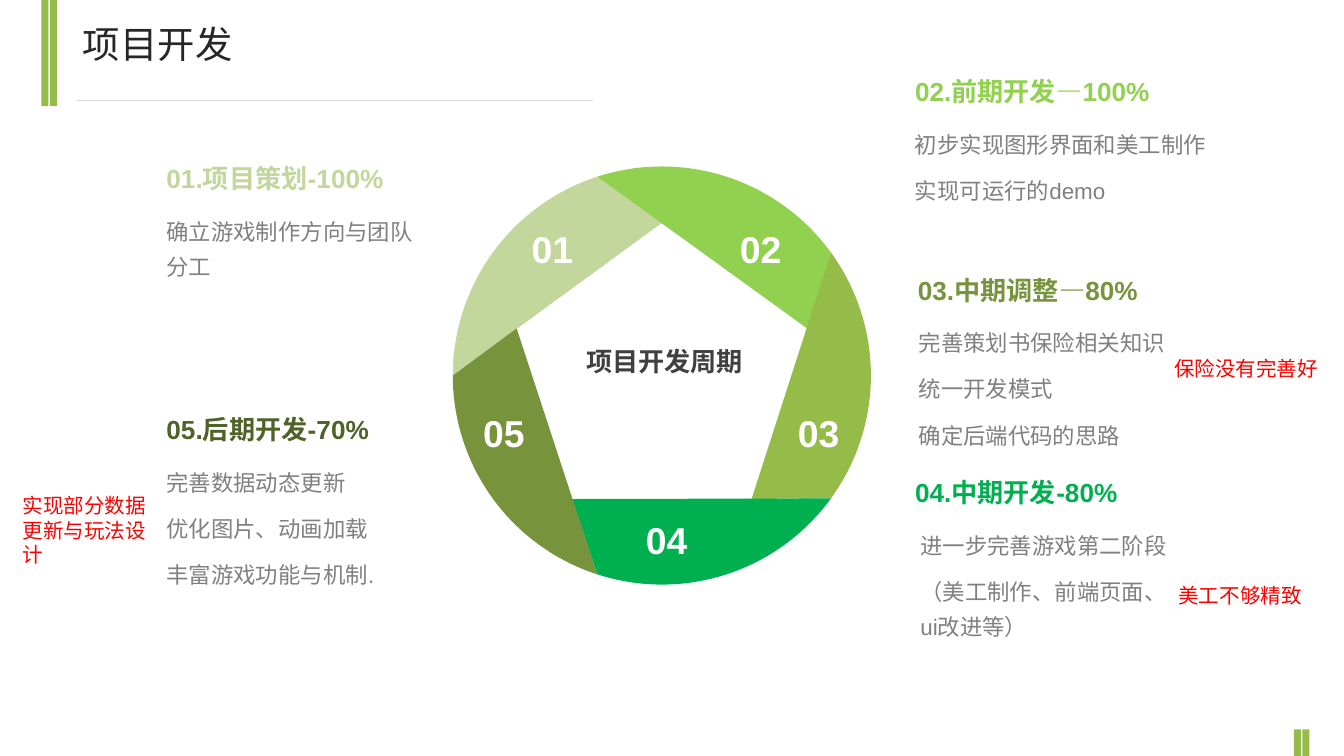
import math
from dataclasses import dataclass

import pptx
import pptx.dml.color
import pptx.enum.shapes
import pptx.enum.text
import pptx.oxml
import pptx.util

Pt = pptx.util.Pt


@dataclass(frozen=True)
class Theme:
    title_font: str = "Roboto Condensed"
    body_font: str = "Arial"
    title_size: float = 20
    heading_size: float = 14
    body_size: float = 12
    remark_size: float = 11
    accent: str = "95BC49"
    rule: str = "D9D9D9"
    title: str = "262626"
    centre: str = "404040"
    body: str = "808080"
    remark: str = "FF0000"
    white: str = "FFFFFF"
    pale: str = "C3D69B"
    bright: str = "92D050"
    emerald: str = "00B050"
    olive: str = "77933C"
    forest: str = "4F6228"


THEME = Theme()


def color(code):
    return pptx.dml.color.RGBColor.from_string(code)


def paint(shape, code):
    shape.shadow.inherit = False
    shape.fill.solid()
    shape.fill.fore_color.rgb = color(code)
    shape.line.fill.background()


def add_text(page, box, lines, size, code, bold=False, font=THEME.body_font,
             centered=False, spacing=None, before=None):
    frame = page.shapes.add_textbox(*map(Pt, box)).text_frame
    frame.word_wrap = True
    frame.text = "\n".join(lines)
    for para in frame.paragraphs:
        if centered:
            para.alignment = pptx.enum.text.PP_ALIGN.CENTER
        if spacing:
            para.line_spacing = spacing
        if before:
            para.space_before = Pt(before)
        for span in para.runs:
            span.font.name = font
            span.font.size = Pt(size)
            span.font.bold = bold
            span.font.color.rgb = color(code)


def add_bars(page, box):
    left, top, width, height = box
    bar_width = 3.8
    for bar_left in (left, left + width - bar_width):
        bar = page.shapes.add_shape(
            pptx.enum.shapes.MSO_SHAPE.RECTANGLE,
            Pt(bar_left), Pt(top), Pt(bar_width), Pt(height))
        paint(bar, THEME.accent)


def add_title(page, box, title):
    left, top, width, height = box
    rule_left, rule_top = left + 3.8, top + 45.8
    rule = page.shapes.add_connector(
        pptx.enum.shapes.MSO_CONNECTOR.STRAIGHT,
        Pt(rule_left), Pt(rule_top), Pt(rule_left + 276.4), Pt(rule_top))
    rule.line.color.rgb = color(THEME.rule)
    rule.line.width = Pt(0.75)
    rule.element.spPr.append(pptx.oxml.parse_xml(
        '<a:effectLst xmlns:a="http://schemas.openxmlformats.org/drawingml/2006/main"/>'))
    add_text(page, box, [title], THEME.title_size, THEME.title, font=THEME.title_font)


def add_cycle(page, box, caption, segments):
    left, top, width, height = box
    center_x, center_y = left + width / 2, top + height / 2
    outer = width / 2
    inner = outer * 0.73
    sweep = 360 / len(segments)

    def point(radius, degrees):
        angle = math.radians(degrees)
        return (Pt(center_x + radius * math.cos(angle)),
                Pt(center_y + radius * math.sin(angle)))

    for index, (code, label_x, label_y) in enumerate(segments):
        start = 180 + index * sweep
        corner = start + sweep * 1.25
        arc = [point(outer, start + step * sweep / 36) for step in range(37)]
        builder = page.shapes.build_freeform(*arc[0])
        builder.add_line_segments(arc[1:] + [point(inner, corner)], close=True)
        paint(builder.convert_to_shape(), code)
        label_box = (left + label_x, top + label_y, 54.7, 31.5)
        add_text(page, label_box, [f"{index + 1:02}"], THEME.title_size,
                 THEME.white, bold=True, centered=True)

    add_text(page, (center_x - 50, center_y - 19.8, 103, 24.5), [caption],
             THEME.heading_size, THEME.centre, bold=True, centered=True)


def add_stage(page, box, heading, code, lines, indent=0):
    left, top, width, height = box
    heading_height = 25.4
    add_text(page, (left, top, 152.6, heading_height), [heading],
             THEME.heading_size, code, bold=True)
    add_text(page, (left + indent, top + heading_height, width, height - heading_height),
             lines, THEME.body_size, THEME.body, spacing=1.3, before=6)


def add_remark(page, box, remark):
    add_text(page, box, [remark], THEME.remark_size, THEME.remark)


def build_page(page):
    add_bars(page, (22.2, 0, 8.3, 56.8))
    add_bars(page, (693.2, 390.8, 8.3, 14.2))
    add_title(page, (37.4, 7.9, 304.6, 31.5), "项目开发")
    add_cycle(page, (242.6, 89.2, 224, 224), "项目开发周期", [
        (THEME.pale, 26, 28.2),
        (THEME.bright, 137.6, 28.2),
        (THEME.accent, 168.6, 126.8),
        (THEME.emerald, 87.2, 184.4),
        (THEME.olive, 0, 126.8),
    ])

    stages = [
        ((82.1, 83.5, 152.6, 68.4), "01.项目策划-100%", THEME.pale,
         ["确立游戏制作方向与团队分工"], 0),
        ((483.1, 36.9, 187.2, 74.7), "02.前期开发—100%", THEME.bright,
         ["初步实现图形界面和美工制作", "实现可运行的demo"], 0),
        ((484.6, 143.2, 153.4, 99.4), "03.中期调整—80%", THEME.olive,
         ["完善策划书保险相关知识", "统一开发模式", "确定后端代码的思路"], 0.5),
        ((483.1, 251.6, 152.6, 94), "04.中期开发-80%", THEME.emerald,
         ["进一步完善游戏第二阶段", "（美工制作、前端页面、ui改进等）"], 2.9),
        ((82.1, 218, 152.6, 99.4), "05.后期开发-70%", THEME.forest,
         ["完善数据动态更新", "优化图片、动画加载", "丰富游戏功能与机制."], 0),
    ]
    for stage in stages:
        add_stage(page, *stage)

    add_remark(page, (621.9, 187.2, 92.5, 20.6), "保险没有完善好")
    add_remark(page, (624.2, 308.9, 92.2, 20.6), "美工不够精致")
    add_remark(page, (5, 260.6, 90.7, 47.3), "实现部分数据更新与玩法设计")


def main():
    deck = pptx.Presentation()
    deck.slide_width = Pt(720)
    deck.slide_height = Pt(405)
    build_page(deck.slides.add_slide(deck.slide_layouts[6]))
    deck.save("out.pptx")


if __name__ == "__main__":
    main()
